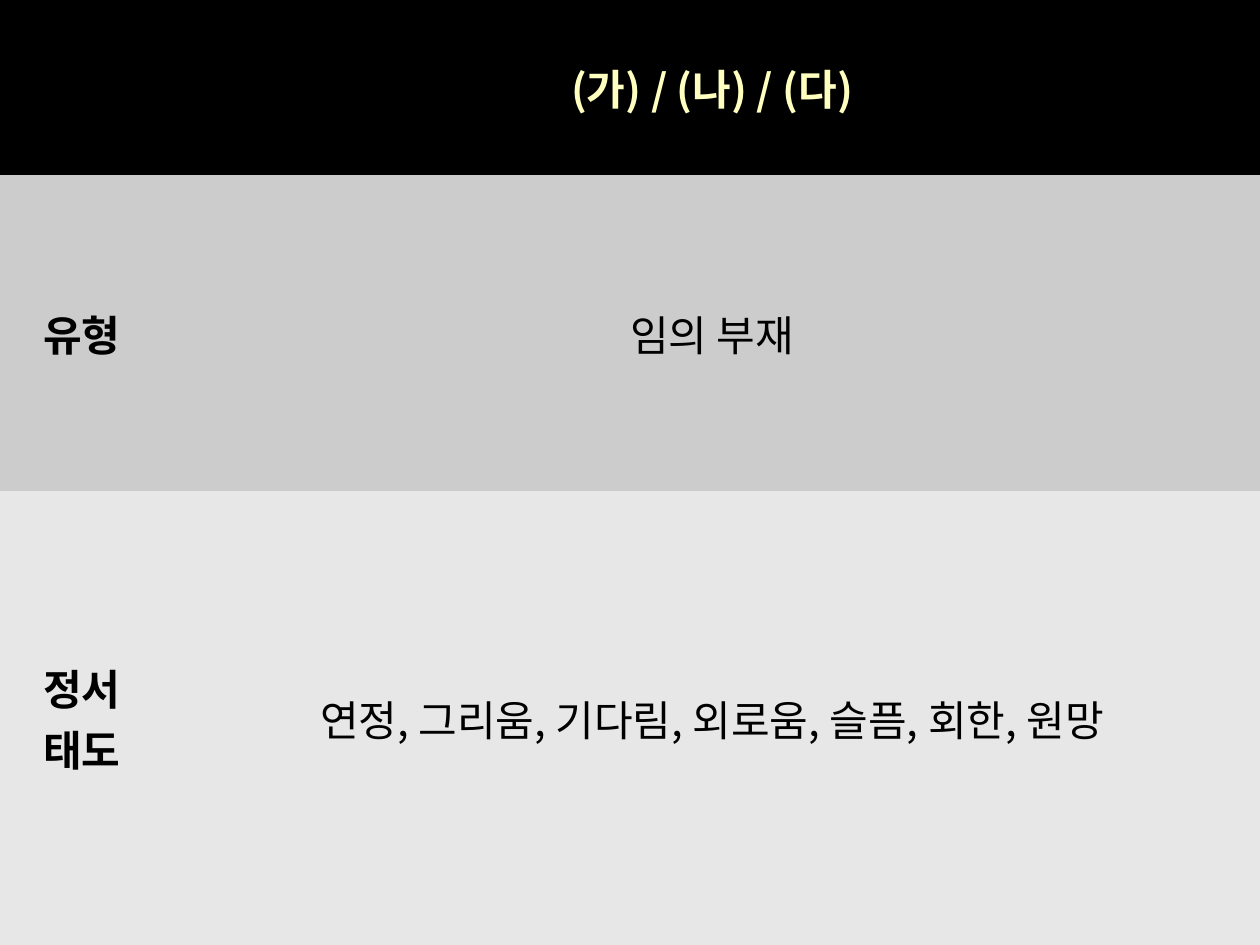
from dataclasses import dataclass

from lxml.etree import SubElement
from pptx import Presentation
from pptx.dml.color import RGBColor
from pptx.enum.text import MSO_ANCHOR as Anchor, PP_ALIGN as Align
from pptx.oxml.ns import qn
from pptx.util import Pt

PX = 914400 / 126
FONT = "Noto Sans CJK KR"
SLIDE_W, SLIDE_H = 1260, 945
COLUMN_WIDTHS = (164, 1096)


@dataclass(frozen=True)
class Row:
    height: int
    fill: str
    label: str
    content: str
    color: str = "000000"
    content_bold: bool = False


ROWS = (
    Row(175, "000000", "", "(가) / (나) / (다)", color="FFFFBF", content_bold=True),
    Row(316, "CCCCCC", "유형", "임의 부재"),
    Row(454, "E7E7E7", "정서\n태도", "연정, 그리움, 기다림, 외로움, 슬픔, 회한, 원망"),
)


def emu(px: int) -> int:
    return round(px * PX)


def rgb(value: str) -> RGBColor:
    return RGBColor.from_string(value)


def write_text(frame, text: str, *, color: str, bold: bool, size: int = 24) -> None:
    """Write one centred paragraph for each line of text."""
    frame.text = text
    for paragraph in frame.paragraphs:
        paragraph.alignment = Align.CENTER
        for run in paragraph.runs:
            font = run.font
            font.name, font.size, font.bold = FONT, Pt(size), bold
            font.color.rgb = rgb(color)
            SubElement(run._r.get_or_add_rPr(), qn("a:ea")).set("typeface", FONT)


def hide_borders(cell) -> None:
    properties = cell._tc.get_or_add_tcPr()
    for side in ("L", "R", "T", "B"):
        border = SubElement(properties, qn(f"a:ln{side}"))
        border.set("w", "0")
        SubElement(border, qn("a:noFill"))


def draw_cell(cell, text: str, row: Row, bold: bool) -> None:
    hide_borders(cell)
    cell.fill.solid()
    cell.fill.fore_color.rgb = rgb(row.fill)
    cell.vertical_anchor = Anchor.MIDDLE
    write_text(cell.text_frame, text, color=row.color, bold=bold)


def draw_table(slide) -> None:
    table = slide.shapes.add_table(
        len(ROWS), len(COLUMN_WIDTHS), 0, 0, emu(SLIDE_W), emu(SLIDE_H)
    ).table
    table.first_row = table.horz_banding = False
    for column, width in zip(table.columns, COLUMN_WIDTHS):
        column.width = emu(width)
    for index, row in enumerate(ROWS):
        table.rows[index].height = emu(row.height)
        draw_cell(table.cell(index, 0), row.label, row, bold=True)
        draw_cell(table.cell(index, 1), row.content, row, bold=row.content_bold)


def main() -> None:
    presentation = Presentation()
    presentation.slide_width = emu(SLIDE_W)
    presentation.slide_height = emu(SLIDE_H)
    draw_table(presentation.slides.add_slide(presentation.slide_layouts[6]))
    presentation.save("out.pptx")


if __name__ == "__main__":
    main()
